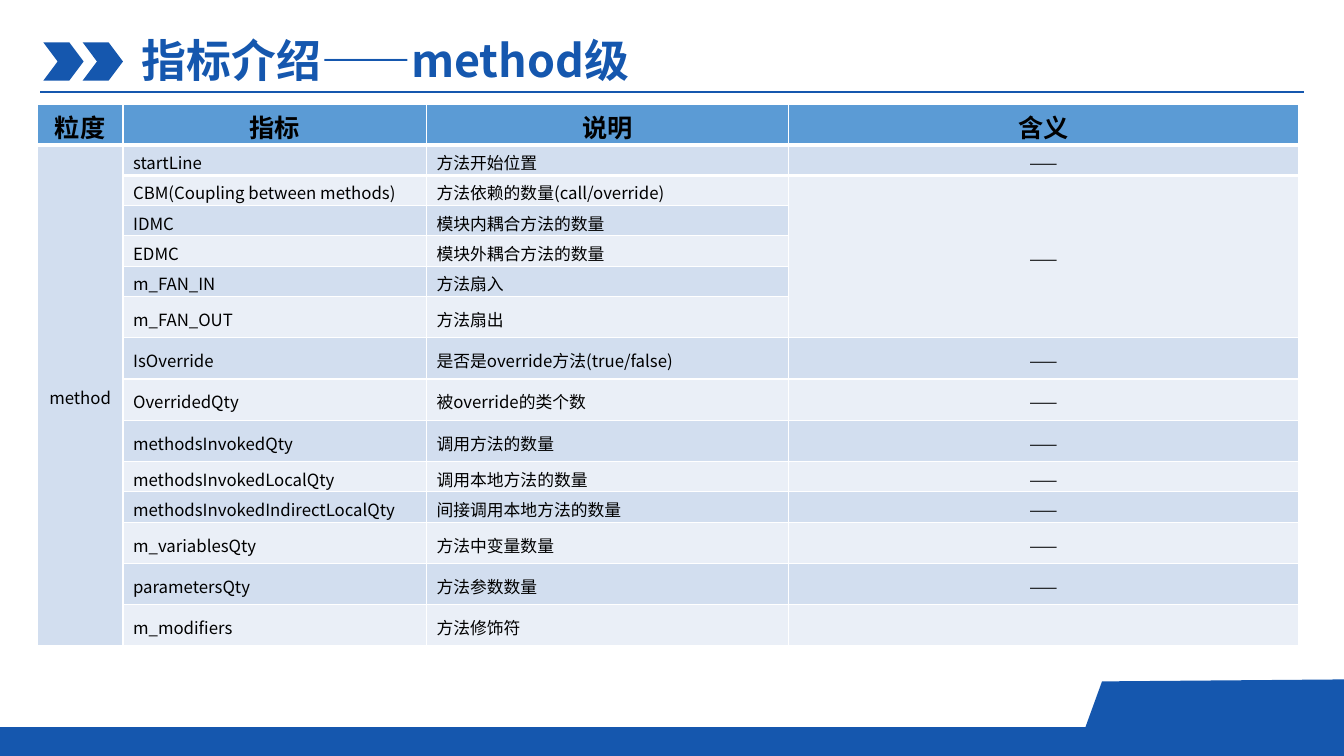
from lxml import etree
from pptx import Presentation
from pptx.dml.color import RGBColor
from pptx.enum.shapes import MSO_CONNECTOR, MSO_SHAPE
from pptx.enum.text import MSO_ANCHOR, PP_ALIGN
from pptx.oxml.ns import qn
from pptx.util import Inches, Pt

LEFT, CENTER = PP_ALIGN.LEFT, PP_ALIGN.CENTER
MIDDLE = MSO_ANCHOR.MIDDLE
STRAIGHT = MSO_CONNECTOR.STRAIGHT
CHEVRON, BAR = MSO_SHAPE.CHEVRON, MSO_SHAPE.FLOWCHART_PROCESS
FONT = "Noto Sans CJK SC"
COLORS = {"blue": "1557AE", "head": "5B9BD5", "dark": "D2DEEF",
          "light": "EAEFF7", "black": "000000", "white": "FFFFFF"}


def paint(shape):
    shape.shadow.inherit = False
    shape.fill.solid()
    shape.fill.fore_color.rgb = RGBColor.from_string(COLORS["blue"])
    shape.line.fill.background()


def write(frame, text, size=12, color="black", bold=False, align=LEFT):
    para = frame.paragraphs[0]
    para.alignment = align
    run = para.add_run()
    run.text = text
    font = run.font
    font.size, font.bold, font.name = Pt(size), bold, FONT
    font.color.rgb = RGBColor.from_string(COLORS[color])
    etree.SubElement(run._r.get_or_add_rPr(), qn("a:ea")).set("typeface", FONT)


prs = Presentation()
prs.slide_width, prs.slide_height = Inches(13.33), Inches(7.5)
slide = prs.slides.add_slide(prs.slide_layouts[6])
shapes = slide.shapes

# Footer bar and slanted corner
paint(shapes.add_shape(BAR, 0, Inches(7.21), Inches(13.33), Inches(0.29)))
corner = shapes.build_freeform(Inches(13.33), Inches(7.45))
corner.add_line_segments([(Inches(x), Inches(y)) for x, y in
                          [(13.33, 6.74), (10.93, 6.76), (10.68, 7.45)]])
paint(corner.convert_to_shape())

# Title with rule and chevrons
rule = shapes.add_connector(STRAIGHT, Inches(0.4), Inches(0.91),
                            Inches(12.93), Inches(0.91))
rule.line.color.rgb = RGBColor.from_string(COLORS["blue"])
rule.line.width = Pt(1.5)
etree.SubElement(rule._element.spPr, qn("a:effectLst"))
for x in (0.43, 0.82):
    mark = shapes.add_shape(CHEVRON, Inches(x), Inches(0.42),
                            Inches(0.4), Inches(0.38))
    mark.adjustments[0] = 0.375
    paint(mark)
title = shapes.add_textbox(Inches(1.31), Inches(0.28), Inches(12.21), Inches(1.72))
title.text_frame.word_wrap = True
write(title.text_frame, "指标介绍——method级", size=32, color="blue", bold=True)

# Table content: metric, description, meaning, row height
DASH = "——"
HEADS = ["粒度", "指标", "说明", "含义"]
METRICS = [
    ("startLine", "方法开始位置", DASH, 0.3),
    ("CBM(Coupling between methods)", "方法依赖的数量(call/override)", DASH, 0.3),
    ("IDMC", "模块内耦合方法的数量", "", 0.3),
    ("EDMC", "模块外耦合方法的数量", "", 0.3),
    ("m_FAN_IN", "方法扇入", "", 0.3),
    ("m_FAN_OUT", "方法扇出", "", 0.41),
    ("IsOverride", "是否是override方法(true/false)", DASH, 0.41),
    ("OverridedQty", "被override的类个数", DASH, 0.41),
    ("methodsInvokedQty", "调用方法的数量", DASH, 0.41),
    ("methodsInvokedLocalQty", "调用本地方法的数量", DASH, 0.3),
    ("methodsInvokedIndirectLocalQty", "间接调用本地方法的数量", DASH, 0.3),
    ("m_variablesQty", "方法中变量数量", DASH, 0.41),
    ("parametersQty", "方法参数数量", DASH, 0.41),
    ("m_modifiers", "方法修饰符", "", 0.41),
]
rows = [HEADS] + [["", *metric[:3]] for metric in METRICS]
rows[1][0] = "method"
heights = [0.4] + [metric[3] for metric in METRICS]

# Table
table = shapes.add_table(len(rows), 4, Inches(0.37), Inches(1.04),
                         Inches(12.52), Inches(sum(heights))).table
for col, width in zip(table.columns, (0.85, 3.01, 3.59, 5.06)):
    col.width = Inches(width)
for r, (row, height) in enumerate(zip(rows, heights)):
    table.rows[r].height = Inches(height)
    shade = "head" if r == 0 else "dark" if r % 2 else "light"
    for c, text in enumerate(row):
        cell = table.cell(r, c)
        cell.vertical_anchor = MIDDLE
        cell.margin_top, cell.margin_bottom = Inches(0.04 if r else 0.02), 0
        cell.fill.solid()
        cell.fill.fore_color.rgb = RGBColor.from_string(COLORS[shade])
        if text:
            write(cell.text_frame, text, size=12 if r else 18, bold=r == 0,
                  align=CENTER if r == 0 or c in (0, 3) else LEFT)
table.cell(1, 0).merge(table.cell(14, 0))
table.cell(2, 3).merge(table.cell(6, 3))

# Thick white line under the header
for r, side in enumerate(("a:lnB", "a:lnT")):
    for c in range(4):
        edge = etree.Element(qn(side), w=str(Pt(3)))
        fill = etree.SubElement(edge, qn("a:solidFill"))
        etree.SubElement(fill, qn("a:srgbClr")).set("val", COLORS["white"])
        table.cell(r, c)._tc.get_or_add_tcPr().insert(0, edge)

prs.save("out.pptx")
